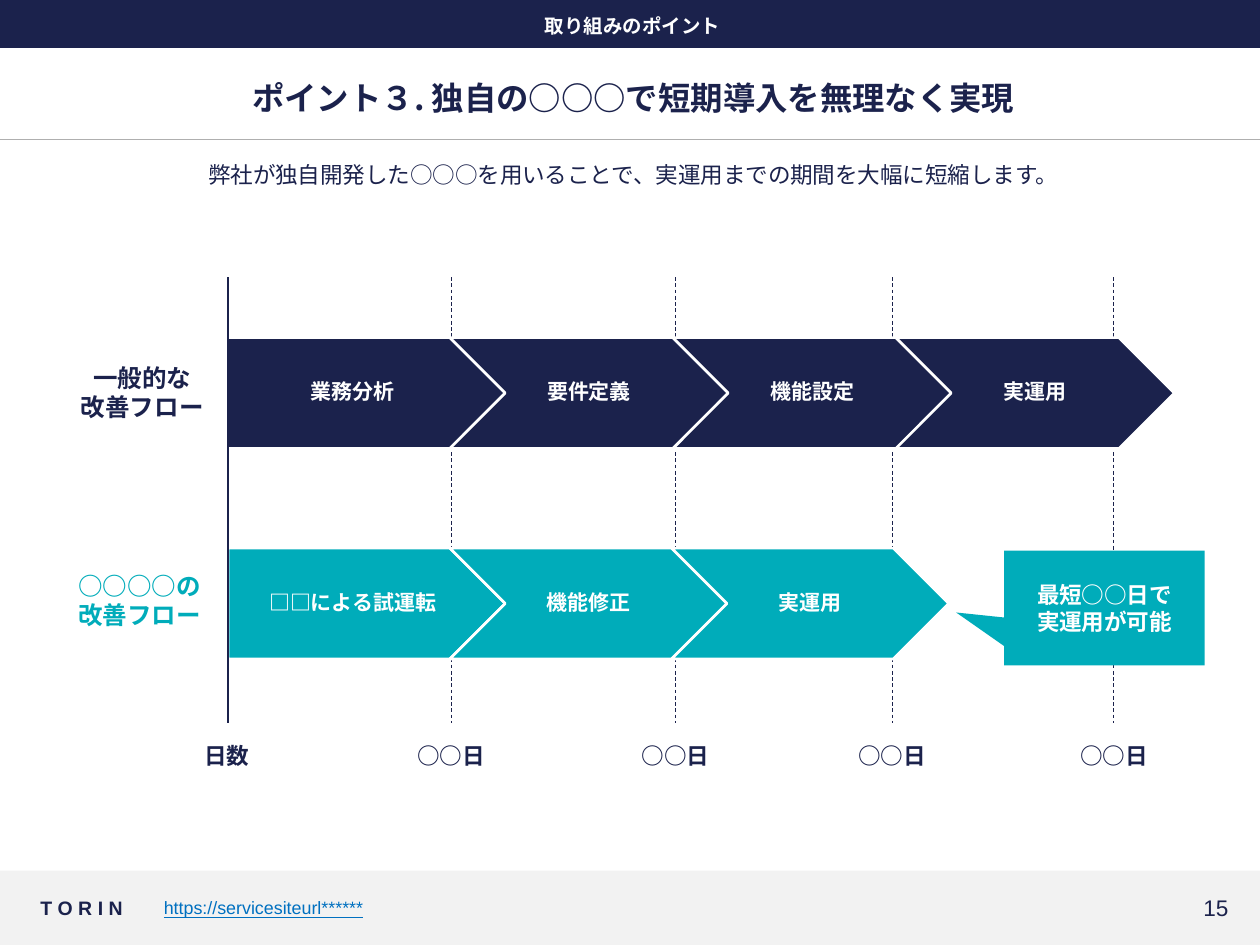
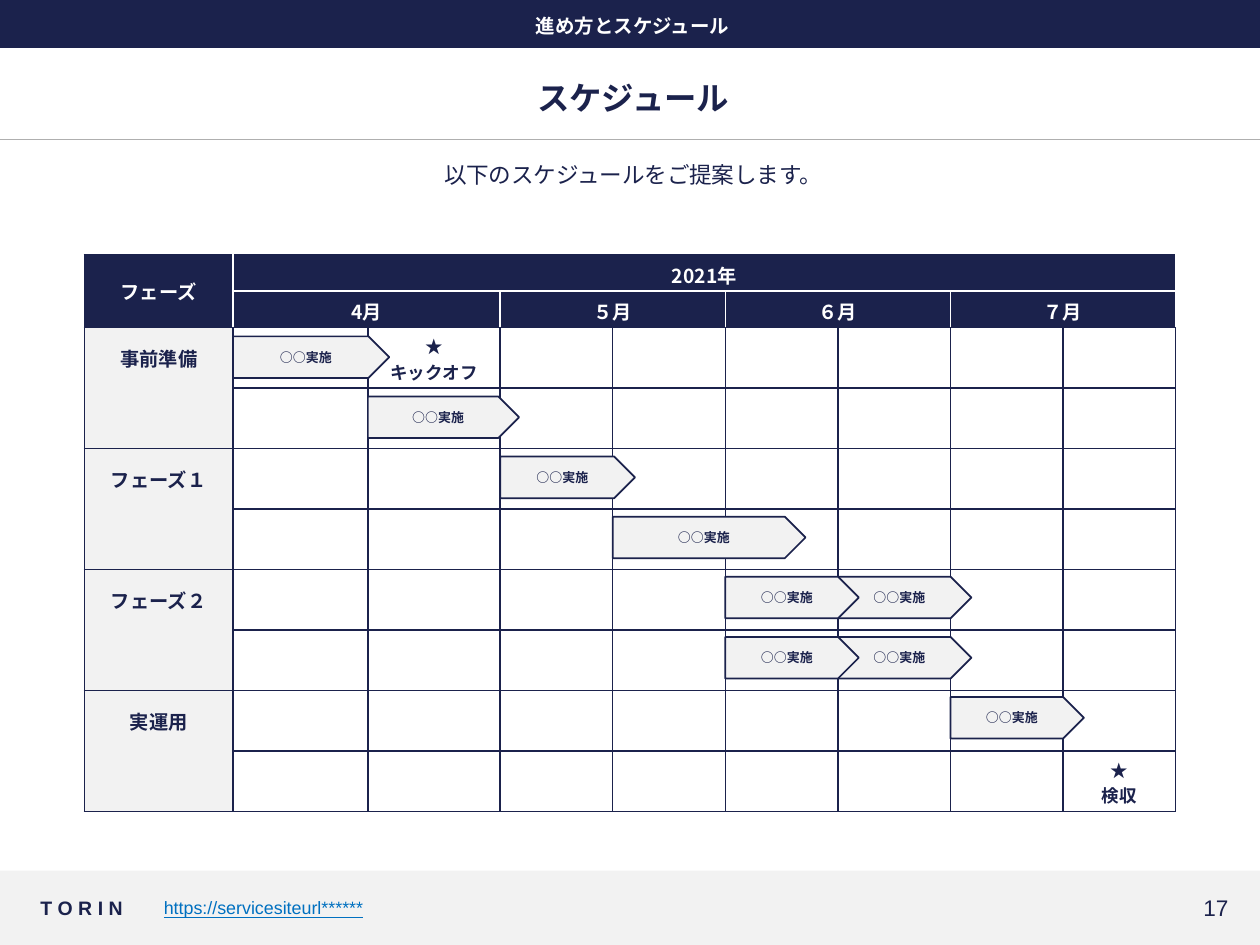
from itertools import accumulate

from lxml import etree
from pptx import Presentation
from pptx.dml.color import RGBColor
from pptx.enum.dml import MSO_LINE
from pptx.enum.lang import MSO_LANGUAGE_ID
from pptx.enum.shapes import MSO_CONNECTOR, MSO_SHAPE
from pptx.enum.text import MSO_ANCHOR, PP_ALIGN
from pptx.oxml.ns import qn
from pptx.util import Inches, Pt

NAVY = RGBColor(0x1B, 0x22, 0x4C)
TEAL = RGBColor(0x00, 0xAC, 0xBA)
WHITE = RGBColor(0xFF, 0xFF, 0xFF)
PALE = RGBColor(0xF2, 0xF2, 0xF2)
RULE_GRAY = RGBColor(0xAF, 0xAF, 0xAF)
LINK_BLUE = RGBColor(0x00, 0x70, 0xC0)

LATIN = "Arial"
JAPANESE = "Noto Sans CJK JP"

LEFT, CENTER, RIGHT = PP_ALIGN.LEFT, PP_ALIGN.CENTER, PP_ALIGN.RIGHT
TOP, MIDDLE = MSO_ANCHOR.TOP, MSO_ANCHOR.MIDDLE
RECTANGLE, PENTAGON = MSO_SHAPE.RECTANGLE, MSO_SHAPE.PENTAGON
CHEVRON, CALLOUT = MSO_SHAPE.CHEVRON, MSO_SHAPE.RECTANGULAR_CALLOUT
STRAIGHT, DASH = MSO_CONNECTOR.STRAIGHT, MSO_LINE.DASH
JA = MSO_LANGUAGE_ID.JAPANESE


def text_style(size, color=NAVY, bold=True, name=JAPANESE, underline=False):
    return {"color": color, "font": {"size": Pt(size), "bold": bold, "name": name,
                                     "underline": underline, "language_id": JA}}


SECTION_STYLE = text_style(11.1, WHITE)
TITLE_STYLE = text_style(18.5)
LEAD_STYLE = text_style(12.9, bold=False)
BRAND_STYLE = text_style(11.1, name=LATIN)
LINK_STYLE = text_style(10.2, LINK_BLUE, False, LATIN, True)
NUMBER_STYLE = text_style(12.9, bold=False, name=LATIN)
DAY_STYLE = text_style(12.9, name=LATIN)
STEP_STYLE = text_style(12, WHITE)
CALLOUT_STYLE = text_style(12.9, WHITE, name=LATIN)
HEAD_STYLE = text_style(11, WHITE)
PHASE_STYLE = text_style(11)
MILESTONE_STYLE = text_style(10)
TASK_STYLE = text_style(7.4)

FLOW_TOP, FLOW_BOTTOM = 2.2, 5.74
DAY_MARKS = [3.58, 5.36, 7.08, 8.84]

TABLE_LEFT, TABLE_TOP, TABLE_WIDTH = 0.67, 2.02, 8.66
FIRST_COLUMNS = [1.18, 1.07, 1.05]
HALF_MONTH = (TABLE_WIDTH - sum(FIRST_COLUMNS)) / 6
COLUMNS = FIRST_COLUMNS + [HALF_MONTH] * 6
ROWS = [0.29] * 2 + [0.48] * 8
MONTHS = ["4月", "５月", "６月", "７月"]
PHASES = ["事前準備", "フェーズ１", "フェーズ２", "実運用"]
MILESTONES = {(2, 2): "キックオフ", (9, 8): "検収"}
# Half-month column, task row, width; a later bar covers the one before it.
TASKS = [(1, 0, 1.24), (2, 1, 1.2), (3, 2, 1.07), (4, 3, 1.53), (6, 4, 1.06),
         (7, 6, 1.06), (6, 5, 1.06), (5, 4, 1.06), (5, 5, 1.06)]


def write(frame, lines, style, align=CENTER, anchor=MIDDLE, spacing=None):
    """Fill a text frame with one styled paragraph per line."""
    frame.vertical_anchor = anchor
    for index, line in enumerate(lines):
        para = frame.add_paragraph() if index else frame.paragraphs[0]
        para.alignment = align
        para.line_spacing = spacing
        span = para.add_run()
        span.text = line
        for key, value in style["font"].items():
            setattr(span.font, key, value)
        span.font.color.rgb = style["color"]
        etree.SubElement(span._r.get_or_add_rPr(), qn("a:ea"), typeface=JAPANESE)


def set_margins(frame, inset):
    for side in ("left", "top", "right", "bottom"):
        setattr(frame, f"margin_{side}", Inches(inset))


def add_text(page, left, top, width, height, lines, style, align=CENTER,
             anchor=MIDDLE, wrap=True):
    box = page.shapes.add_textbox(Inches(left), Inches(top), Inches(width), Inches(height))
    frame = box.text_frame
    frame.word_wrap = wrap
    set_margins(frame, 0.04)
    write(frame, lines, style, align, anchor)
    return box


def hang_first_line(box):
    properties = box.text_frame.paragraphs[0]._p.get_or_add_pPr()
    properties.set("marL", str(Inches(0.15)))
    properties.set("indent", str(Inches(-0.22)))


def add_block(page, kind, left, top, width, height, fill, line=None, weight=1):
    block = page.shapes.add_shape(kind, Inches(left), Inches(top), Inches(width), Inches(height))
    block.shadow.inherit = False
    block.fill.solid()
    block.fill.fore_color.rgb = fill
    if line is None:
        block.line.fill.background()
    else:
        block.line.color.rgb = line
        block.line.width = Pt(weight)
    return block


def add_line(page, x1, y1, x2, y2, color, weight, dash=None):
    line = page.shapes.add_connector(STRAIGHT, Inches(x1), Inches(y1), Inches(x2), Inches(y2))
    line.line.color.rgb = color
    line.line.width = Pt(weight)
    if dash:
        line.line.dash_style = dash
    etree.SubElement(line._element.spPr, qn("a:effectLst"))


def add_page(deck, section, title, lead, number):
    """Add a slide with the shared bands, title, lead and footer."""
    page = deck.slides.add_slide(deck.slide_layouts[6])
    add_block(page, RECTANGLE, 0, 6.91, 10, 0.59, PALE)
    add_text(page, 1.26, 7.05, 7.28, 0.31, ["https://servicesiteurl******"], LINK_STYLE, LEFT)
    add_text(page, 0.28, 7.05, 0.98, 0.31, ["T O R I N"], BRAND_STYLE, LEFT)
    add_line(page, 0, 1.11, 10, 1.11, RULE_GRAY, 0.5)
    add_block(page, RECTANGLE, 0, -0.01, 10, 0.39, NAVY)
    hang_first_line(add_text(page, 0.48, 1.24, 9.09, 0.63, [lead], LEAD_STYLE, anchor=TOP))
    add_text(page, 8.81, 7.05, 0.98, 0.31, [str(number)], NUMBER_STYLE, RIGHT)
    hang_first_line(add_text(page, 0.48, 0.07, 9.08, 0.28, [section], SECTION_STYLE, anchor=TOP))
    add_text(page, 0.48, 0.58, 9.09, 0.39, [title], TITLE_STYLE)
    return page


def add_flow(page, left, top, width, pitch, color, steps):
    """Draw a chain of arrows, the first with a flat back."""
    for index, step in enumerate(steps):
        arrow = add_block(page, CHEVRON if index else PENTAGON, left + index * pitch, top,
                          width, 0.88, color, WHITE, 1.5)
        set_margins(arrow.text_frame, 0.08)
        write(arrow.text_frame, [step], STEP_STYLE, spacing=0.9)


def add_flow_label(page, left, top, lines, color):
    add_text(page, left, top, 1.06, 0.61, lines, text_style(14, color, name=LATIN),
             anchor=TOP, wrap=False)


def add_day_label(page, center, label):
    add_text(page, center - 0.31, 5.85, 0.62, 0.3, [label], DAY_STYLE, anchor=TOP, wrap=False)


def cell_edges(row, column):
    """Return the border colours of a schedule cell; None hides an edge."""
    edges = dict.fromkeys(("lnL", "lnR", "lnT", "lnB"), NAVY)
    if row < 2:
        if column > 0:
            edges["lnL"] = WHITE
            edges["lnB" if row == 0 else "lnT"] = WHITE
        if column < len(COLUMNS) - 1:
            edges["lnR"] = WHITE
    elif column == 0:
        edges["lnT" if row % 2 else "lnB"] = None
    return edges


def format_cell(cell, row, column):
    properties = cell._tc.get_or_add_tcPr()
    for edge, color in cell_edges(row, column).items():
        line = etree.SubElement(properties, qn(f"a:{edge}"), w=str(Pt(1)))
        if color is None:
            etree.SubElement(line, qn("a:noFill"))
        else:
            fill = etree.SubElement(line, qn("a:solidFill"))
            etree.SubElement(fill, qn("a:srgbClr"), val=str(color))
    if row < 2 or column == 0:
        cell.fill.solid()
        cell.fill.fore_color.rgb = NAVY if row < 2 else PALE
    else:
        cell.fill.background()
    for side, inset in {"left": 0.1, "right": 0.1, "top": 0.05, "bottom": 0.05}.items():
        setattr(cell, f"margin_{side}", Inches(inset))


def write_cell(cell, lines, style):
    cell.vertical_anchor = MIDDLE
    write(cell.text_frame, lines, style)


def add_schedule(page):
    table = page.shapes.add_table(len(ROWS), len(COLUMNS), Inches(TABLE_LEFT), Inches(TABLE_TOP),
                                  Inches(TABLE_WIDTH), Inches(sum(ROWS))).table
    table.first_row = table.horz_banding = False
    for column, width in zip(table.columns, COLUMNS):
        column.width = Inches(width)
    for row, height in zip(table.rows, ROWS):
        row.height = Inches(height)
    for row in range(len(ROWS)):
        for column in range(len(COLUMNS)):
            format_cell(table.cell(row, column), row, column)

    table.cell(0, 0).merge(table.cell(1, 0))
    table.cell(0, 1).merge(table.cell(0, 8))
    write_cell(table.cell(0, 0), ["フェーズ"], HEAD_STYLE)
    write_cell(table.cell(0, 1), ["2021年"], HEAD_STYLE)
    for index, month in enumerate(MONTHS):
        column = 1 + 2 * index
        table.cell(1, column).merge(table.cell(1, column + 1))
        write_cell(table.cell(1, column), [month], HEAD_STYLE)
    for index, phase in enumerate(PHASES):
        write_cell(table.cell(2 + 2 * index, 0), [phase], PHASE_STYLE)
    for position, milestone in MILESTONES.items():
        write_cell(table.cell(*position), ["★", milestone], MILESTONE_STYLE)


def add_tasks(page):
    column_lefts = list(accumulate(COLUMNS, initial=TABLE_LEFT))
    for column, row, width in TASKS:
        bar = add_block(page, PENTAGON, column_lefts[column], 2.67 + 0.477 * row,
                        width, 0.33, PALE, NAVY)
        set_margins(bar.text_frame, 0.04)
        write(bar.text_frame, ["○○実施"], TASK_STYLE)


def build_flow_page(deck):
    page = add_page(deck, "取り組みのポイント", "ポイント３. 独自の○○○で短期導入を無理なく実現",
                    "弊社が独自開発した○○○を用いることで、実運用までの期間を大幅に短縮します。", 15)
    for mark in DAY_MARKS:
        add_line(page, mark, FLOW_TOP, mark, FLOW_BOTTOM, NAVY, 0.5, DASH)
        add_day_label(page, mark, "○○日")
    add_day_label(page, 1.8, "日数")
    add_flow(page, 1.8, 2.68, 2.21, 1.77, NAVY, ["業務分析", "要件定義", "機能設定", "実運用"])
    add_flow(page, 1.81, 4.35, 2.2, 1.76, TEAL, ["□□による試運転", "機能修正", "実運用"])
    add_flow_label(page, 0.6, 2.84, ["一般的な", "改善フロー"], NAVY)
    add_flow_label(page, 0.58, 4.49, ["○○○○の", "改善フロー"], TEAL)
    callout = add_block(page, CALLOUT, 7.97, 4.37, 1.59, 0.91, TEAL)
    callout.adjustments[0] = -0.74
    callout.adjustments[1] = 0.04
    write(callout.text_frame, ["最短○○日で", "実運用が可能"], CALLOUT_STYLE)
    add_line(page, 1.81, FLOW_TOP, 1.81, FLOW_BOTTOM, NAVY, 1.5)


def build_schedule_page(deck):
    page = add_page(deck, "進め方とスケジュール", "スケジュール",
                    "以下のスケジュールをご提案します。", 17)
    add_schedule(page)
    add_tasks(page)


def main():
    deck = Presentation()
    deck.slide_width, deck.slide_height = Inches(10), Inches(7.5)
    build_flow_page(deck)
    build_schedule_page(deck)
    deck.save("out.pptx")


if __name__ == "__main__":
    main()
